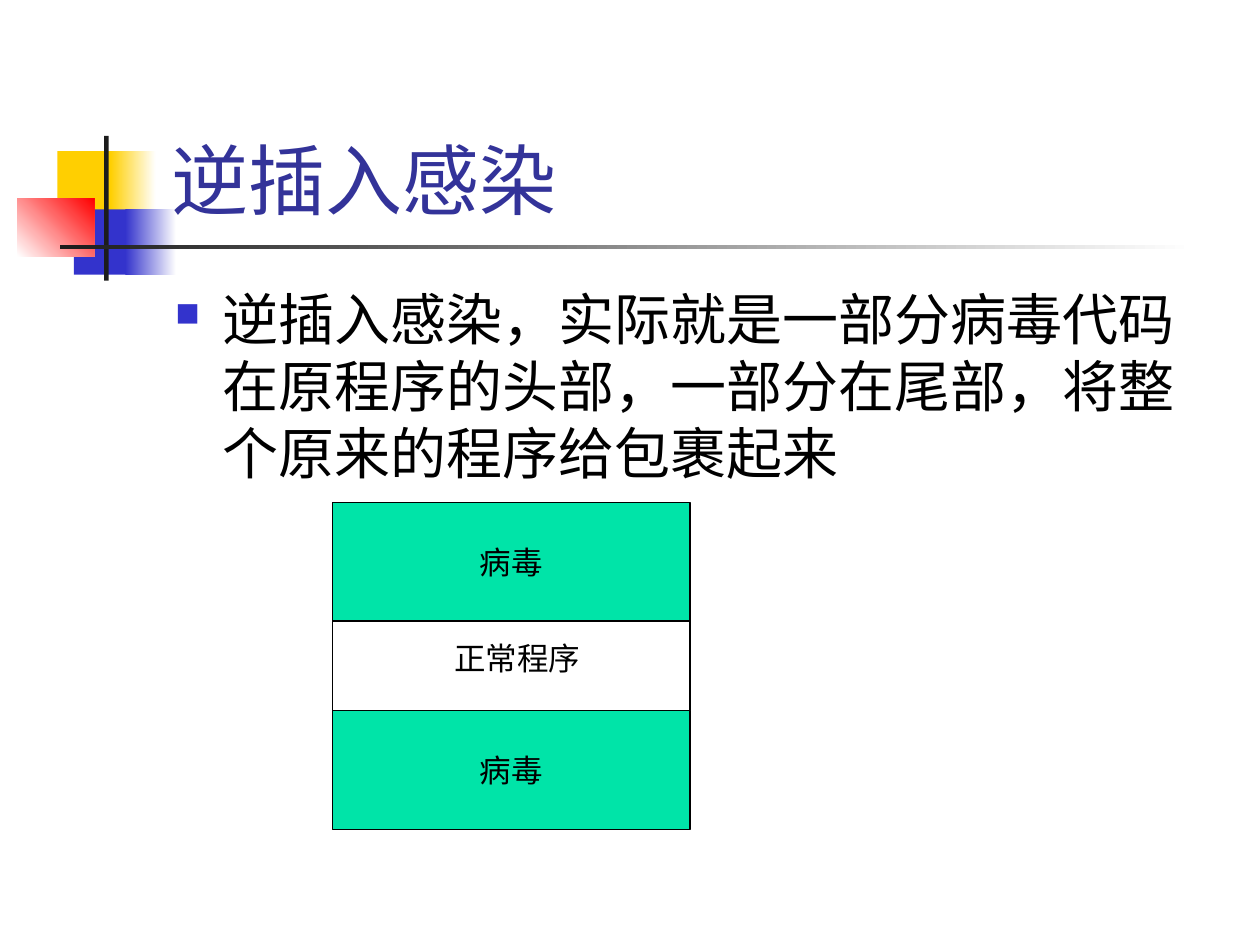
import pptx
import pptx.util
import pptx.dml.color
import pptx.enum.shapes
import pptx.enum.text
import pptx.oxml
import pptx.oxml.ns
import lxml.etree
from dataclasses import dataclass
from pptx.util import Cm


@dataclass(frozen=True)
class Theme:
    font: str = "Lato"
    yellow: str = "FFCF01"
    blue: str = "3333CC"
    red: str = "FF0000"
    ink: str = "1C1C1C"
    white: str = "FFFFFF"
    black: str = "000000"
    title: str = "333399"
    virus: str = "00E4A8"
    title_size: int = 44
    body_size: int = 32
    label_size: int = 18
    outline: float = 0.74


THEME = Theme()
ANCHOR = pptx.enum.text.MSO_ANCHOR
ALIGN = pptx.enum.text.PP_ALIGN


def rgb(color):
    return pptx.dml.color.RGBColor.from_string(color)


def add_rectangle(slide, box, colors=(), angle=0, outlined=False):
    shape = slide.shapes.add_shape(
        pptx.enum.shapes.MSO_SHAPE.RECTANGLE, *(Cm(length) for length in box)
    )
    shape.shadow.inherit = False
    if len(colors) == 2:
        shape.fill.gradient()
        shape.fill.gradient_angle = angle
        for stop, color in zip(shape.fill.gradient_stops, colors):
            stop.color.rgb = rgb(color)
    elif colors:
        shape.fill.solid()
        shape.fill.fore_color.rgb = rgb(colors[0])
    else:
        shape.fill.background()
    if outlined:
        shape.line.color.rgb = rgb(THEME.black)
        shape.line.width = pptx.util.Pt(THEME.outline)
    else:
        shape.line.fill.background()
    return shape


def write_text(shape, text, size, color, anchor, align=ALIGN.LEFT, wrap=True):
    frame = shape.text_frame
    frame.word_wrap = wrap
    frame.vertical_anchor = anchor
    paragraph = frame.paragraphs[0]
    paragraph.text = text
    paragraph.alignment = align
    paragraph.font.name = THEME.font
    paragraph.font.size = pptx.util.Pt(size)
    paragraph.font.color.rgb = rgb(color)
    return paragraph


def add_text(slide, box, *style, **options):
    shape = slide.shapes.add_textbox(*(Cm(length) for length in box))
    return write_text(shape, *style, **options)


def add_bullet(paragraph, character, color, percent, indent):
    properties = paragraph._p.get_or_add_pPr()
    properties.set("marL", str(Cm(indent)))
    properties.set("indent", str(-Cm(indent)))
    namespace = pptx.oxml.ns.nsdecls("a")
    markup = (
        f'<a:buClr {namespace}><a:srgbClr val="{color}"/></a:buClr>',
        f'<a:buSzPct {namespace} val="{percent * 1000}"/>',
        f'<a:buChar {namespace} char="{character}"/>',
    )
    defaults = properties.find(pptx.oxml.ns.qn("a:defRPr"))
    for element in markup:
        defaults.addprevious(pptx.oxml.parse_xml(element))


def add_ornament(slide, box):
    left, top, width, height = box
    block = 1.32
    parts = (
        ((0.81, 0.31, 1.22, block), (THEME.yellow,), 0),
        ((1.88, 0.31, 0.91, block), (THEME.yellow, THEME.white), 0),
        ((1.14, 1.48, 1.17, block), (THEME.blue,), 0),
        ((2.18, 1.48, 1.02, block), (THEME.blue, THEME.white), 0),
        ((0, 1.26, 1.55, 1.17), (THEME.white, THEME.red), 45),
        ((1.75, 0, 0.09, height), (THEME.ink,), 0),
        ((0.86, 2.2, width - 0.86, 0.09), (THEME.ink, THEME.white), 0),
    )
    for (x, y, part_width, part_height), colors, angle in parts:
        add_rectangle(slide, (left + x, top + y, part_width, part_height), colors, angle)


def add_title(slide, box):
    add_text(slide, box, "逆插入感染", THEME.title_size, THEME.title, ANCHOR.BOTTOM)


def add_body(slide, box):
    paragraph = add_text(
        slide, box,
        "逆插入感染，实际就是一部分病毒代码在原程序的头部，一部分在尾部，将整个原来的程序给包裹起来",
        THEME.body_size, THEME.black, ANCHOR.TOP,
    )
    paragraph.space_before = pptx.util.Pt(8)
    add_bullet(paragraph, "■", THEME.blue, 60, 0.95)


def add_program_diagram(slide, box):
    left, top, width, height = box
    virus_height = 2.39
    program_height = height - 2 * virus_height

    def add_virus(y):
        shape = add_rectangle(
            slide, (left, y, width, virus_height), (THEME.virus,), outlined=True
        )
        write_text(
            shape, "病毒", THEME.label_size, THEME.black,
            ANCHOR.MIDDLE, ALIGN.CENTER, wrap=False,
        )

    program_top = top + virus_height
    add_virus(top)
    add_rectangle(slide, (left, program_top, width, program_height), outlined=True)
    add_text(
        slide, (left + 2.21, program_top + 0.23, 3.05, 1.02), "正常程序",
        THEME.label_size, THEME.black, ANCHOR.TOP, wrap=False,
    )
    add_virus(program_top + program_height)


def build_slide(presentation):
    slide = presentation.slides.add_slide(presentation.slide_layouts[6])
    add_ornament(slide, (0.35, 2.74, 23.73, 2.92))
    add_title(slide, (3.2, 0.58, 21.64, 4.07))
    add_body(slide, (3.28, 5.61, 21.59, 4.72))
    add_program_diagram(slide, (6.7, 10.13, 7.21, 6.59))


presentation = pptx.Presentation()
presentation.slide_width = Cm(25.4)
presentation.slide_height = Cm(19.05)
build_slide(presentation)
presentation.save("out.pptx")
